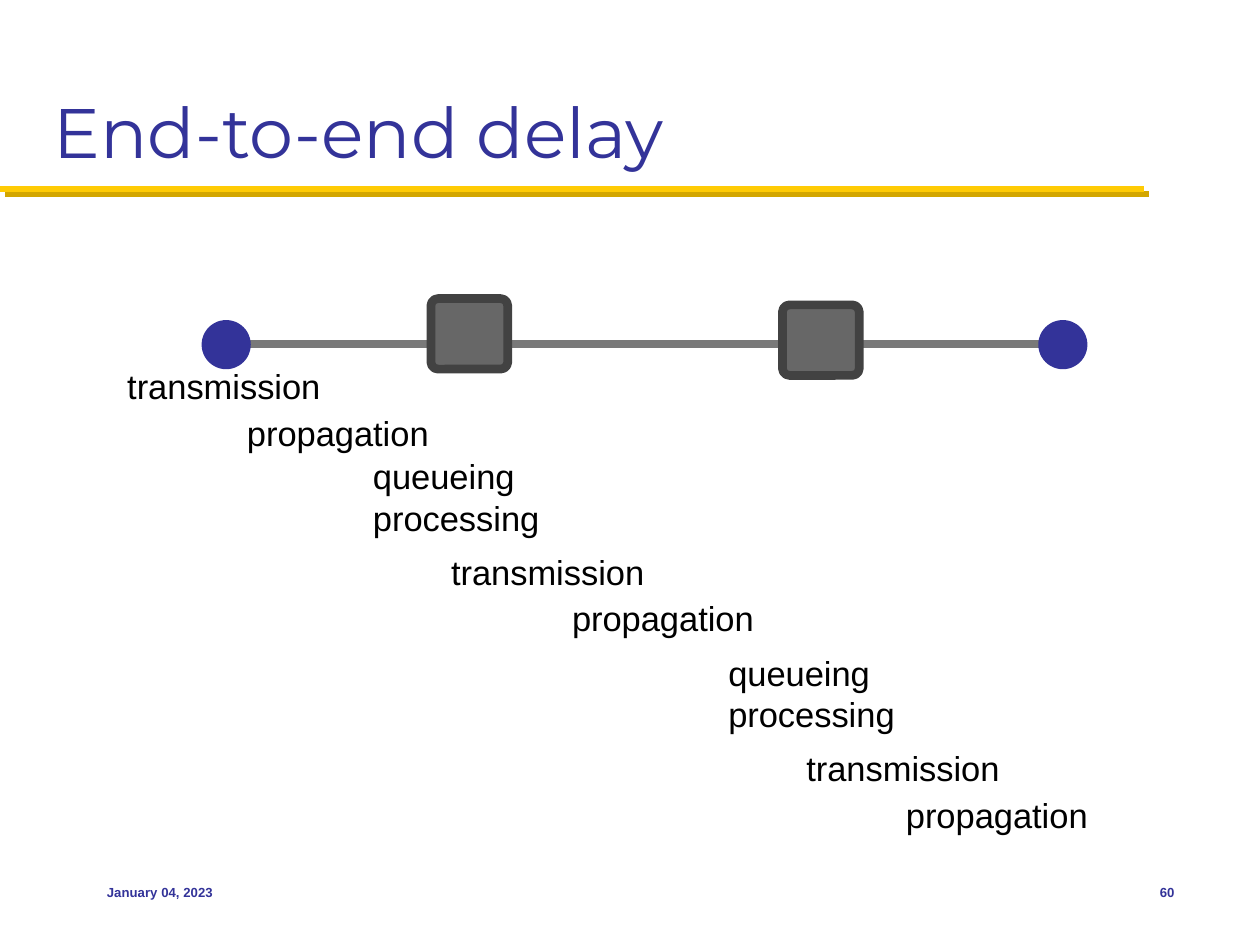
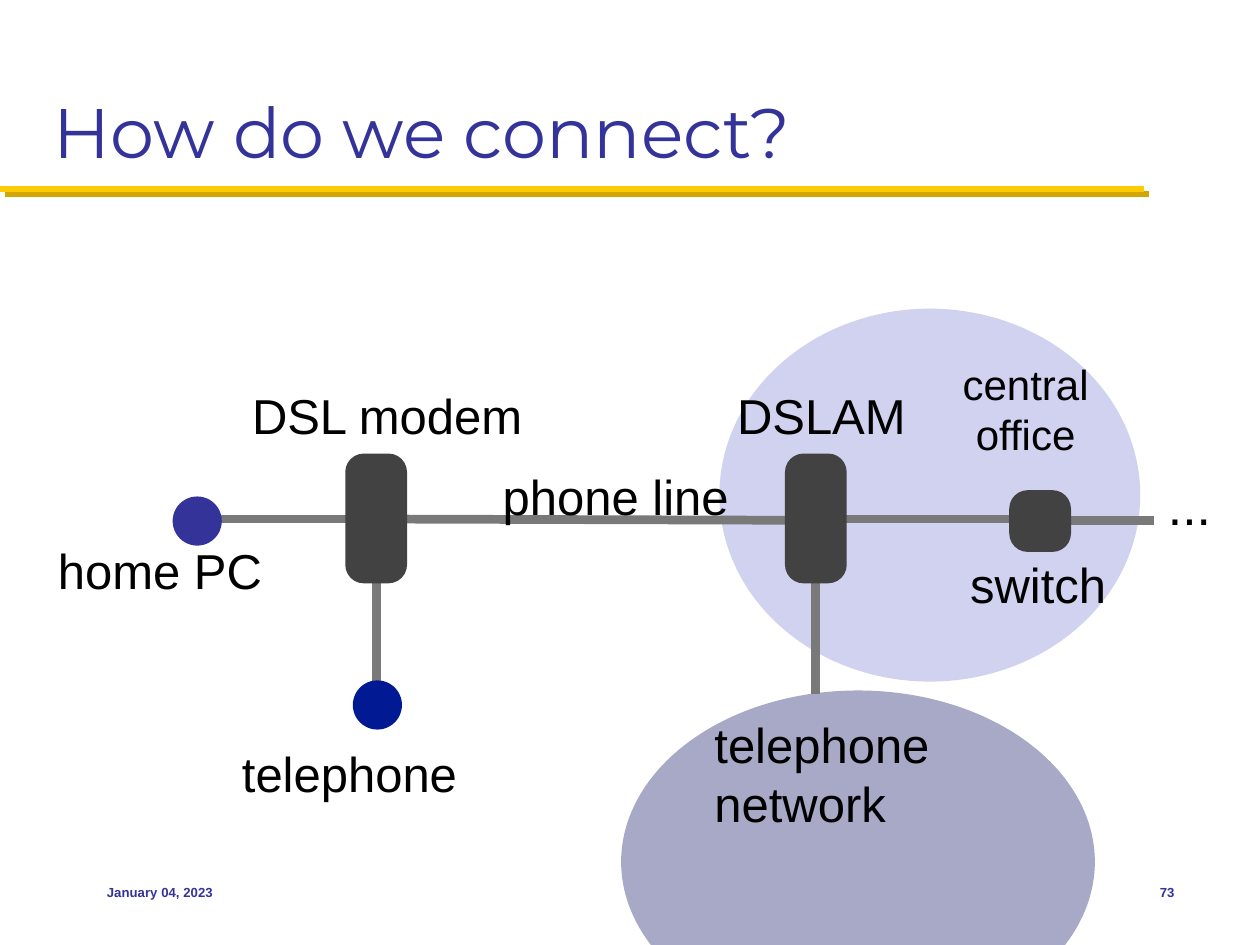
import pptx
import pptx.util
import pptx.dml.color
import pptx.enum.shapes
import pptx.enum.text
import pptx.oxml.ns
from lxml import etree

Inches = pptx.util.Inches
Pt = pptx.util.Pt
RGBColor = pptx.dml.color.RGBColor
MSO_SHAPE = pptx.enum.shapes.MSO_SHAPE
PP_ALIGN = pptx.enum.text.PP_ALIGN
MSO_ANCHOR = pptx.enum.text.MSO_ANCHOR
qn = pptx.oxml.ns.qn

NAVY = RGBColor(0x33, 0x33, 0x99)
PHONE_BLUE = RGBColor(0x01, 0x19, 0x93)
NETWORK_BLUE = RGBColor(0x26, 0x26, 0x73)
LAVENDER = RGBColor(0xD1, 0xD1, 0xF0)
GOLD = RGBColor(0xFF, 0xCB, 0x05)
DARK_GOLD = RGBColor(0xD3, 0xA6, 0x00)
LINK_GRAY = RGBColor(0x79, 0x79, 0x79)
ROUTER_GRAY = RGBColor(0x67, 0x67, 0x67)
DARK_GRAY = RGBColor(0x42, 0x42, 0x42)
BLACK = RGBColor(0, 0, 0)

NODE_SIZE = 0.39


class Deck:
    """Holds the shared style and the slide being drawn."""

    label = {"name": "Arial", "size": Pt(28), "bold": False}
    title = {"name": "Montserrat", "size": Pt(40), "bold": False}
    footer = {"name": "Arial", "size": Pt(7.5), "bold": True}

    def __init__(self):
        self.prs = pptx.Presentation()
        self.prs.slide_width = Inches(10)
        self.prs.slide_height = Inches(7.5)
        self.s = None

    def add_slide(self, title, number):
        self.s = self.prs.slides.add_slide(self.prs.slide_layouts[6])
        for offset, color in ((0.04, DARK_GOLD), (0, GOLD)):
            self.line(offset, 1.5 + offset, 9.08 + offset, 1.5 + offset, color, 3.5)
        margins = (0.1, 0.05)
        self.text(title, 0.33, 0.17, 9.33, 1.25, self.title, NAVY,
                  anchor=MSO_ANCHOR.BOTTOM, margins=margins)
        self.text("January 04, 2023", 0.75, 6.83, 2.08, 0.5, self.footer, NAVY,
                  margins=margins)
        self.text(number, 8.75, 6.83, 0.67, 0.5, self.footer, NAVY,
                  align=PP_ALIGN.RIGHT, margins=margins)

    def text(self, text, x, y, w, h, style=None, color=BLACK, size=None,
             align=PP_ALIGN.LEFT, anchor=MSO_ANCHOR.MIDDLE,
             margins=(0.04, 0.04), wrap=True):
        sp = self.s.shapes.add_textbox(Inches(x), Inches(y), Inches(w), Inches(h))
        tf = sp.text_frame
        side, end = (Inches(m) for m in margins)
        frame = {"word_wrap": wrap, "vertical_anchor": anchor,
                 "margin_left": side, "margin_right": side,
                 "margin_top": end, "margin_bottom": end}
        for name, value in frame.items():
            setattr(tf, name, value)
        p = tf.paragraphs[0]
        p.alignment = align
        r = p.add_run()
        r.text = text
        for name, value in (style or self.label).items():
            setattr(r.font, name, value)
        if size:
            r.font.size = Pt(size)
        r.font.color.rgb = color

    def line(self, x1, y1, x2, y2, color=LINK_GRAY, width=5):
        cxn = self.s.shapes.add_connector(
            pptx.enum.shapes.MSO_CONNECTOR.STRAIGHT,
            Inches(x1), Inches(y1), Inches(x2), Inches(y2))
        cxn.line.color.rgb = color
        cxn.line.width = Pt(width)
        etree.SubElement(cxn._element.spPr, qn("a:effectLst"))

    def shape(self, kind, x, y, w, h, fill, outline=None):
        sp = self.s.shapes.add_shape(kind, Inches(x), Inches(y), Inches(w), Inches(h))
        sp.shadow.inherit = False
        sp.fill.solid()
        sp.fill.fore_color.rgb = fill
        if outline:
            sp.line.color.rgb = outline
            sp.line.width = Pt(5)
        else:
            sp.line.fill.background()
        return sp

    def oval(self, x, y, w, h, fill, opacity=None):
        sp = self.shape(MSO_SHAPE.OVAL, x, y, w, h, fill)
        if opacity:
            clr = sp._element.spPr.find(qn("a:solidFill"))[0]
            etree.SubElement(clr, qn("a:alpha"), val=str(opacity * 1000))

    def node(self, x, y, fill=NAVY):
        self.oval(x, y, NODE_SIZE, NODE_SIZE, fill)

    def box(self, x, y, w, h, fill=DARK_GRAY, outline=None, corner=0.3):
        sp = self.shape(MSO_SHAPE.ROUNDED_RECTANGLE, x, y, w, h, fill, outline)
        sp.adjustments[0] = corner


def draw_delay(deck):
    deck.add_slide("End-to-end delay", "60")
    deck.line(1.85, 2.73, 8.35, 2.73)
    for x in (1.6, 8.24):
        deck.node(x, 2.54)
    for x, y in ((3.42, 2.37), (6.21, 2.42)):
        deck.box(x, y, 0.61, 0.56, ROUTER_GRAY, DARK_GRAY, 0.1)

    delays = {
        "transmission": [(0.97, 2.86), (3.54, 4.33), (6.36, 5.89)],
        "propagation": [(1.92, 3.23), (4.5, 4.7), (7.15, 6.26)],
        "queueing": [(2.92, 3.57), (5.74, 5.13)],
        "processing": [(2.92, 3.9), (5.74, 5.46)],
    }
    for delay, places in delays.items():
        for x, y in places:
            deck.text(delay, x, y, 1.67, 0.41, size=19.7)


def draw_connection(deck):
    deck.add_slide("How do we connect?", "73")
    deck.oval(4.93, 5.48, 3.76, 2.72, NETWORK_BLUE, opacity=40)
    deck.oval(5.71, 2.45, 3.34, 2.96, LAVENDER)
    links = [
        (2.99, 5.49, 2.99, 4.36),
        (3.15, 4.12, 6.6, 4.13),
        (6.49, 4.12, 8.32, 4.12),
        (1.58, 4.12, 2.97, 4.12),
        (6.47, 5.51, 6.47, 4.4),
        (8.41, 4.13, 9.16, 4.13),
    ]
    for link in links:
        deck.line(*link)

    deck.node(1.37, 3.94)
    deck.node(2.8, 5.4, PHONE_BLUE)
    for x in (2.74, 6.23):
        deck.box(x, 3.6, 0.49, 1.03)
    deck.box(8.01, 3.89, 0.49, 0.49)

    one_line_labels = [
        ("home PC", 0.42, 4.25, 2.29),
        ("switch", 7.66, 4.36, 1.17),
        ("DSL modem", 1.96, 3.02, 2.25),
        ("DSLAM", 5.81, 3.02, 1.43),
        ("phone line", 3.95, 3.66, 1.9),
        ("telephone", 1.88, 5.86, 2.29),
    ]
    for label, x, y, w in one_line_labels:
        deck.text(label, x, y, w, 0.55, wrap=False)
    deck.text("central office", 7.37, 2.8, 1.54, 0.89, size=24, align=PP_ALIGN.CENTER)
    deck.text("telephone network", 5.63, 5.63, 2.29, 1.02)
    deck.text("...", 9.23, 3.72, 0.43, 0.58, size=29.5, wrap=False)


def main():
    deck = Deck()
    draw_delay(deck)
    draw_connection(deck)
    deck.prs.save("out.pptx")


if __name__ == "__main__":
    main()
